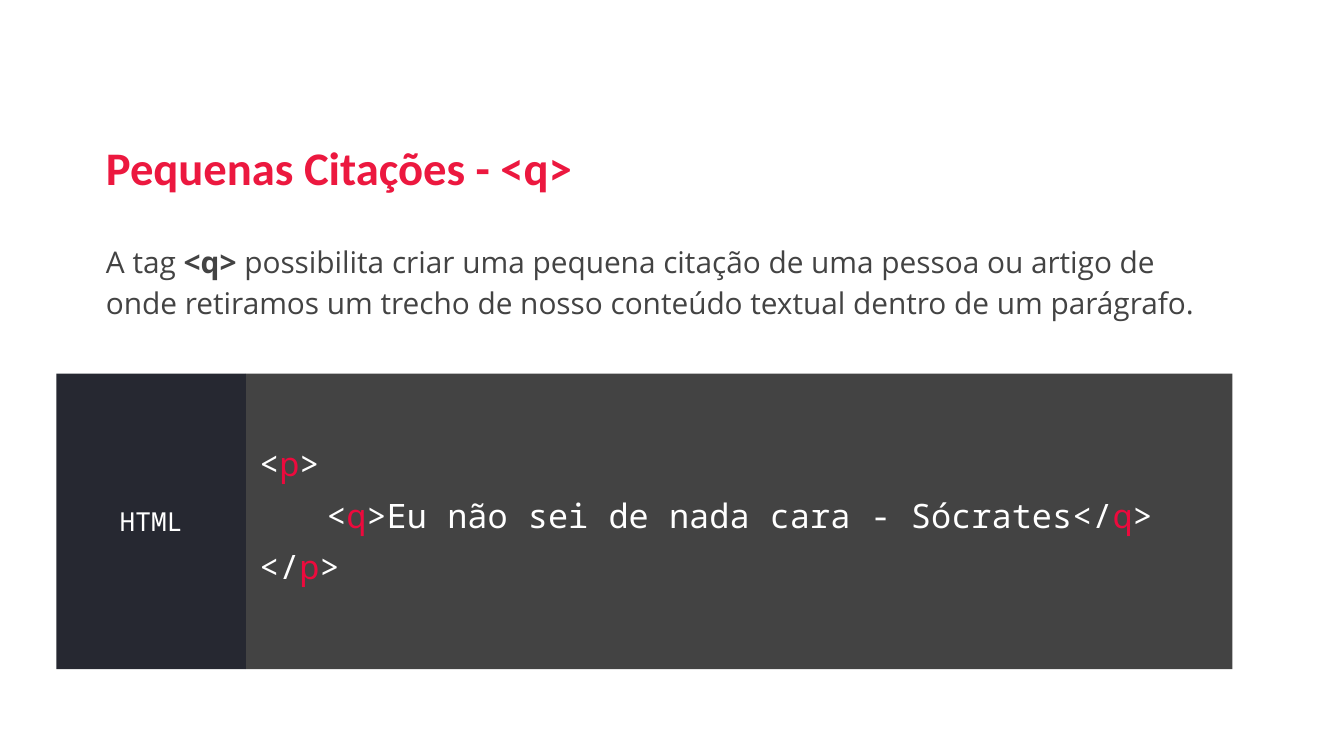
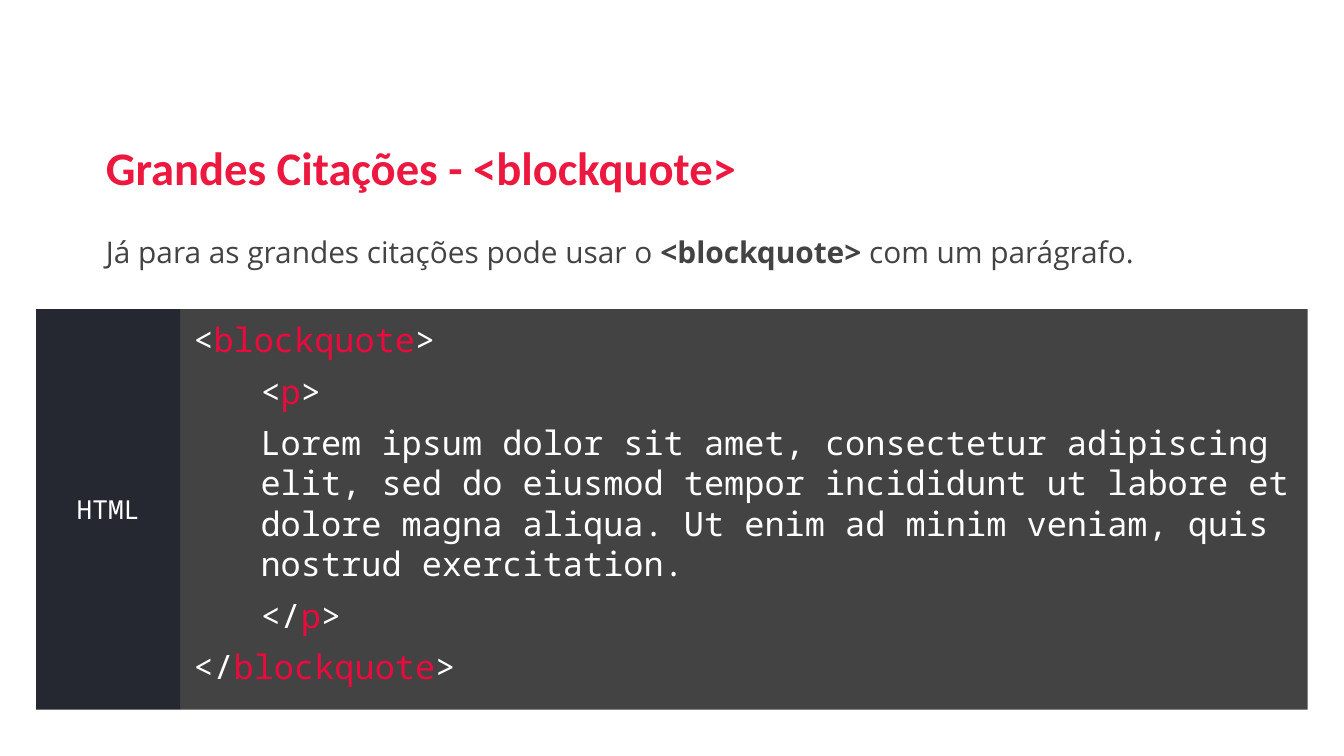
import dataclasses

import pptx
import pptx.dml.color
import pptx.enum.shapes
import pptx.enum.text
import pptx.util

ALIGN = pptx.enum.text.PP_ALIGN
ANCHOR = pptx.enum.text.MSO_ANCHOR
COLUMNS = 100


@dataclasses.dataclass(frozen=True)
class Theme:
    """Colours, type and spacing shared by the slides."""
    title: str = "EC183F"
    accent: str = "EC0A3D"
    ink: str = "434343"
    label: str = "262831"
    light: str = "FFFFFF"
    title_font: str = "Calibri"
    body_font: str = "Open Sans"
    code_font: str = "Noto Sans Mono"
    title_size: int = 25
    body_size: int = 16
    code_size: int = 18
    label_size: int = 14
    inset: float = 0.1
    code_indent: float = 0.5


THEME = Theme()
WIDTH = pptx.util.Inches(10)
HEIGHT = WIDTH * 9 // 16
TEXT_LEFT = 6.9


def rgb(value):
    """Turn a hex string into a colour."""
    return pptx.dml.color.RGBColor.from_string(value)


def apply(target, formats):
    """Set every attribute named in formats on target."""
    for attribute, value in formats.items():
        setattr(target, attribute, value)


def grid(*cells):
    """Turn grid cells, square and 100 to the slide width, into lengths."""
    return [round(WIDTH * cell / COLUMNS) for cell in cells]


def type_style(font, size, color, bold=False):
    """Describe one run's type."""
    return {"name": font, "size": pptx.util.Pt(size), "bold": bold, "color": color}


def write(paragraph, marked, plain, marked_style=None, **formats):
    """Write text whose parts between bars take the marked style."""
    apply(paragraph, formats)
    for index, part in enumerate(marked.split("|")):
        if part:
            run = paragraph.add_run()
            run.text = part
            style = dict(marked_style if index % 2 else plain)
            run.font.color.rgb = rgb(style.pop("color"))
            apply(run.font, style)


def prepare(frame, anchor=ANCHOR.TOP, top=THEME.inset):
    """Give a text frame its wrapping, anchor and margins."""
    margin = pptx.util.Inches(THEME.inset)
    apply(frame, {"word_wrap": True, "vertical_anchor": anchor,
                  "margin_left": margin, "margin_right": margin,
                  "margin_top": pptx.util.Inches(top), "margin_bottom": margin})
    return frame


def add_text(slide, cells, marked, plain, marked_style=None, **formats):
    """Add a one-paragraph text box."""
    frame = prepare(slide.shapes.add_textbox(*grid(*cells)).text_frame)
    write(frame.paragraphs[0], marked, plain, marked_style, **formats)


def add_panel(slide, cells, color, top=THEME.inset):
    """Add a plain filled panel and return its text frame."""
    panel = slide.shapes.add_shape(pptx.enum.shapes.MSO_SHAPE.RECTANGLE, *grid(*cells))
    panel.shadow.inherit = False
    panel.fill.solid()
    panel.fill.fore_color.rgb = rgb(color)
    panel.line.fill.background()
    return prepare(panel.text_frame, ANCHOR.MIDDLE, top)


def add_code(slide, left, top, label_width, code_width, height, lines):
    """Add a code panel with its language label to the left."""
    plain = type_style(THEME.code_font, THEME.code_size, THEME.light)
    tag = {**plain, "color": THEME.accent}
    code = add_panel(slide, (left + label_width, top, code_width, height), THEME.ink, top=0)
    for index, (level, marked) in enumerate(lines):
        paragraph = code.add_paragraph() if index else code.paragraphs[0]
        indent = pptx.util.Inches(level * THEME.code_indent)
        paragraph._p.get_or_add_pPr().set("marL", str(indent))
        write(paragraph, marked, plain, tag, alignment=ALIGN.LEFT,
              space_before=pptx.util.Pt(6 if index else 0))
    language = add_panel(slide, (left, top, label_width, height), THEME.label)
    write(language.paragraphs[0], "HTML",
          type_style(THEME.code_font, THEME.label_size, THEME.light), alignment=ALIGN.CENTER)


def add_lesson(deck, title, description, description_top, description_height, code):
    """Add a slide with a title, a description and a code sample."""
    slide = deck.slides.add_slide(deck.slide_layouts[6])
    add_text(slide, (TEXT_LEFT, 9.8, 79.5, 6.9), title,
             type_style(THEME.title_font, THEME.title_size, THEME.title, True),
             line_spacing=0.9)
    add_code(slide, **code)
    body = type_style(THEME.body_font, THEME.body_size, THEME.ink)
    add_text(slide, (TEXT_LEFT, description_top, 84.8, description_height), description,
             body, {**body, "bold": True}, line_spacing=1.15,
             space_after=pptx.util.Pt(12))


def main():
    """Build and save the deck."""
    deck = pptx.Presentation()
    apply(deck, {"slide_width": WIDTH, "slide_height": HEIGHT})
    add_lesson(
        deck, "Pequenas Citações - <q>",
        "A tag |<q>| possibilita criar uma pequena citação de uma pessoa ou artigo de "
        "onde retiramos um trecho de nosso conteúdo textual dentro de um parágrafo.",
        16.7, 9.9,
        {"left": 4.2, "top": 27.8, "label_width": 14.1, "code_width": 73.4, "height": 22,
         "lines": [
             (0, "<|p|>"),
             (1, "<|q|>Eu não sei de nada cara - Sócrates</|q|>"),
             (0, "</|p|>")]})
    add_lesson(
        deck, "Grandes Citações - <blockquote>",
        "Já para as grandes citações pode usar o |<blockquote> |com um parágrafo.",
        16, 5.8,
        {"left": 2.7, "top": 23, "label_width": 10.7, "code_width": 83.9, "height": 29.8,
         "lines": [
             (0, "<|blockquote|>"),
             (1, "<|p|>"),
             (1, "Lorem ipsum dolor sit amet, consectetur adipiscing elit, sed do eiusmod "
                 "tempor incididunt ut labore et dolore magna aliqua. Ut enim ad minim "
                 "veniam, quis nostrud exercitation."),
             (1, "</|p|>"),
             (0, "</|blockquote|>")]})
    deck.save("out.pptx")


if __name__ == "__main__":
    main()
